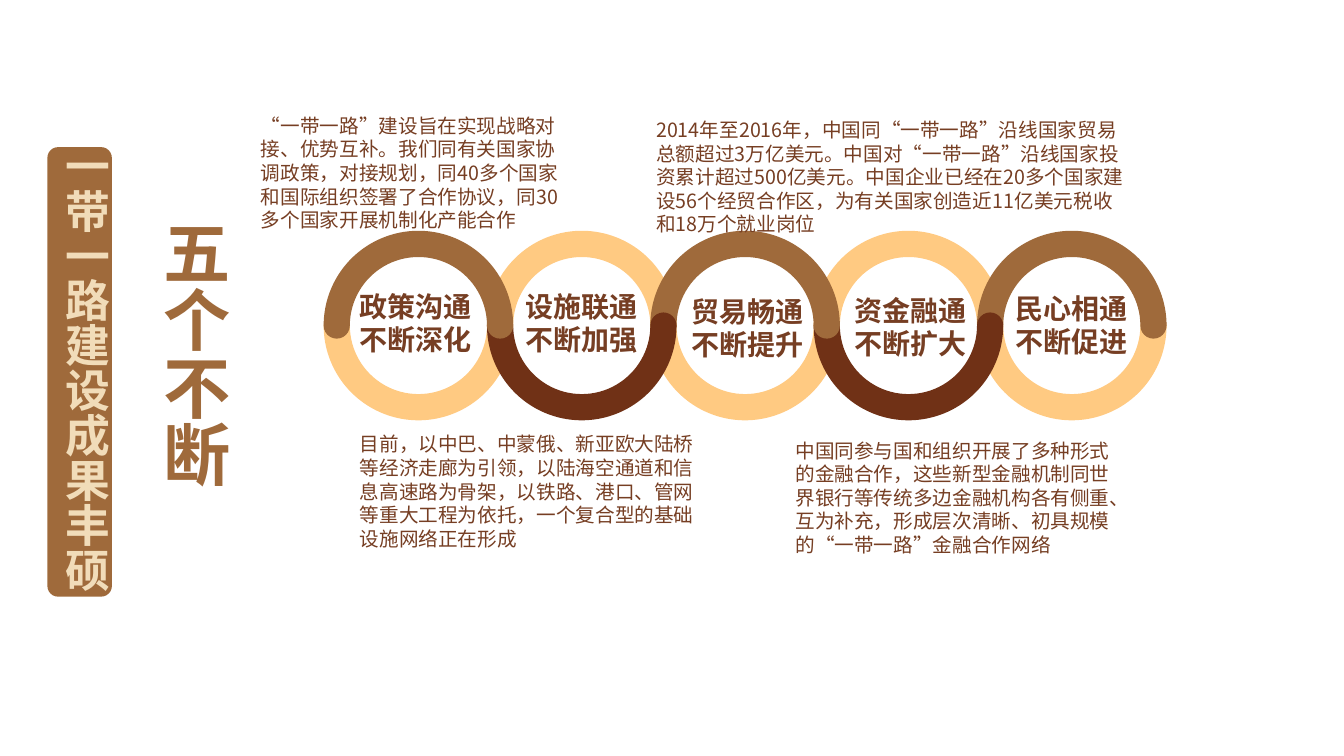
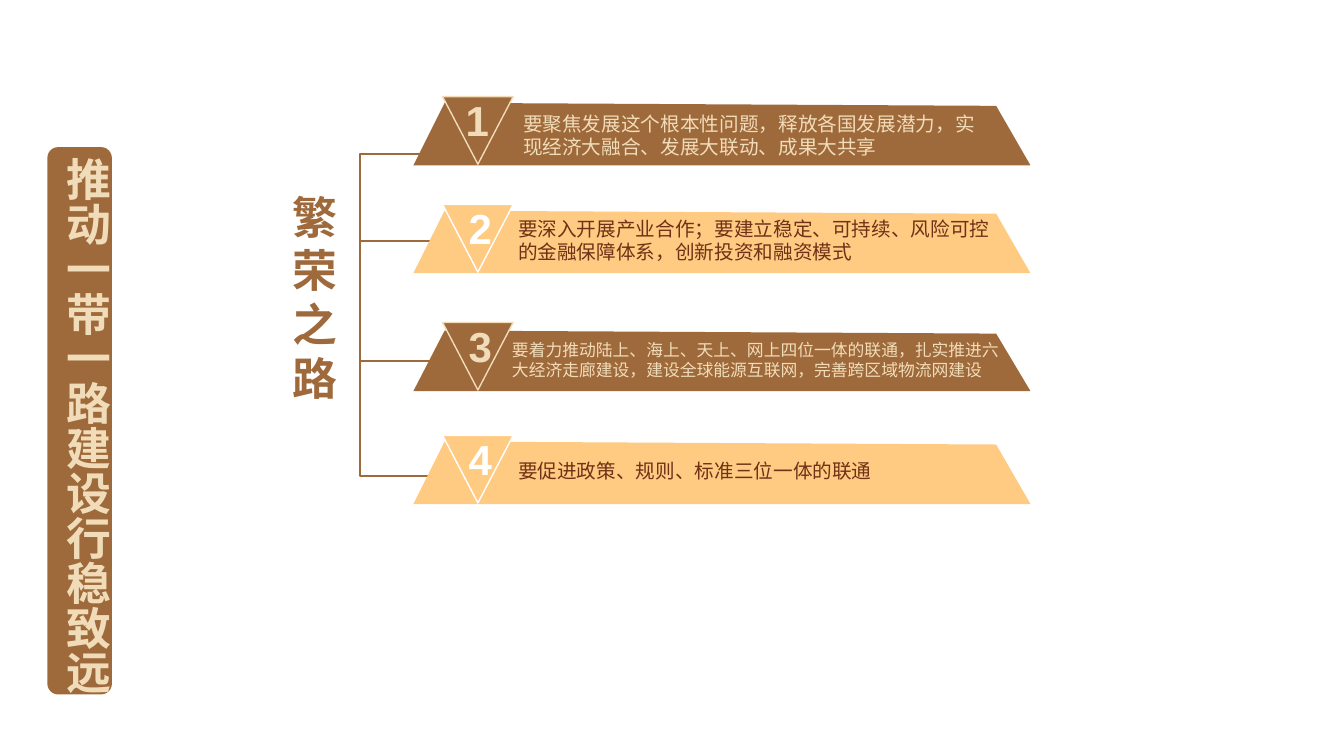
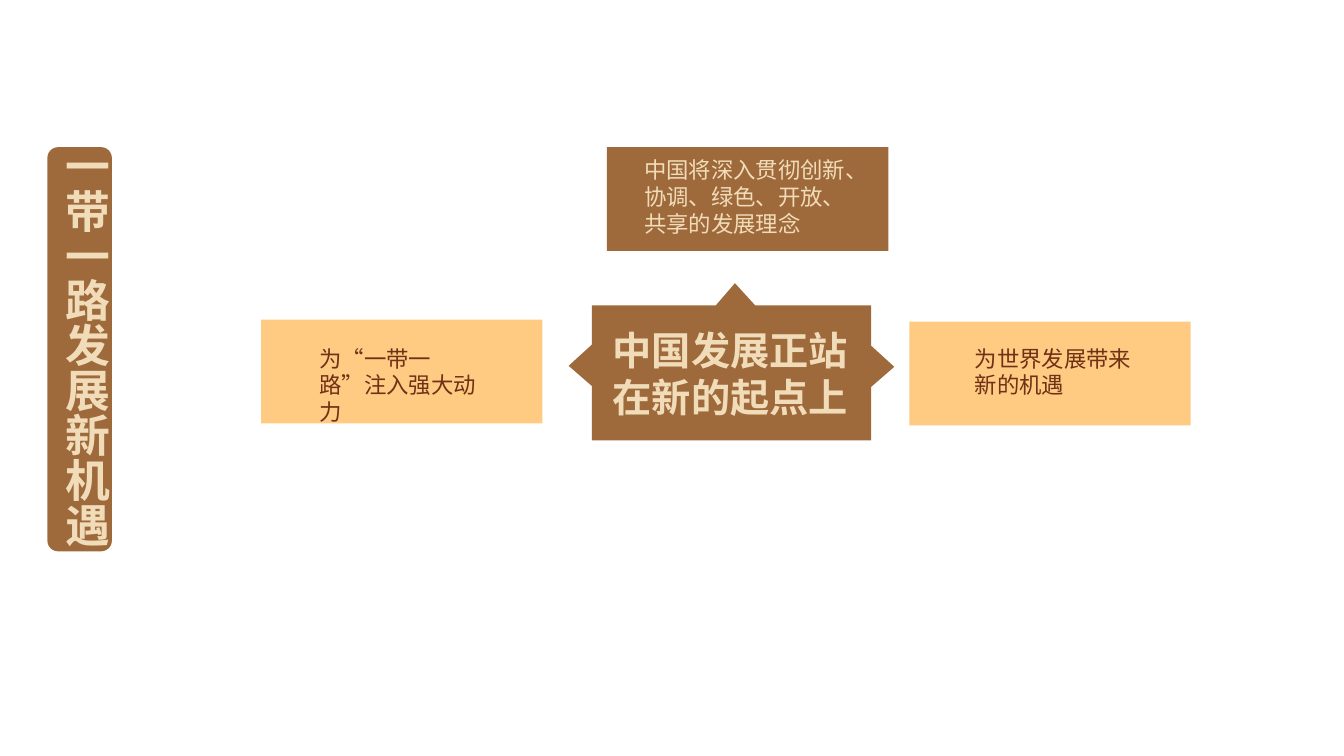
from lxml.etree import SubElement
from pptx import Presentation
from pptx.dml.color import RGBColor
from pptx.enum.shapes import MSO_CONNECTOR as Link, MSO_SHAPE as Kind
from pptx.enum.text import MSO_AUTO_SIZE as Fit, PP_ALIGN as Align
from pptx.oxml.ns import qn
from pptx.util import Inches, Pt

COLORS = {
    "brown": "9F6A3B", "dark": "703116", "text": "763E23",
    "gold": "FFCA82", "cream": "F1DCB9", "white": "FFFFFF",
}
FONT = "Noto Sans CJK SC"

# Slide title: text, band height, text left, top and height
TITLES = [
    ("一带一路建设成果丰硕", 4.46, 0.43, 1.33, 4.59),
    ("推动一带一路建设行稳致远", 5.43, 0.44, 1.46, 5.49),
    ("一带一路发展新机遇", 4.01, 0.43, 1.33, 4.14),
]

# Ring label and its box; the dark halves alternate top and bottom
RINGS = [
    ("政策沟通不断深化", (3.47, 2.82, 1.33, 0.77)),
    ("设施联通不断加强", (5.11, 2.82, 1.51, 0.77)),
    ("贸易畅通不断提升", (6.76, 2.87, 1.34, 0.77)),
    ("资金融通不断扩大", (8.38, 2.86, 1.41, 0.77)),
    ("民心相通不断促进", (9.97, 2.84, 1.51, 0.77)),
]
NOTES = [
    ("“一带一路”建设旨在实现战略对接、优势互补。我们同有关国家协调政策，对接规划，"
     "同40多个国家和国际组织签署了合作协议，同30多个国家开展机制化产能合作",
     (2.49, 1.08, 3.27, 1.28)),
    ("目前，以中巴、中蒙俄、新亚欧大陆桥等经济走廊为引领，以陆海空通道和信息高速路为骨架，"
     "以铁路、港口、管网等重大工程为依托，一个复合型的基础设施网络正在形成",
     (3.47, 4.24, 3.63, 1.28)),
    ("2014年至2016年，中国同“一带一路”沿线国家贸易总额超过3万亿美元。"
     "中国对“一带一路”沿线国家投资累计超过500亿美元。中国企业已经在20多个国家建设"
     "56个经贸合作区，为有关国家创造近11亿美元税收和18万个就业岗位",
     (6.41, 1.12, 4.89, 1.28)),
    ("中国同参与国和组织开展了多种形式的金融合作，这些新型金融机制同世界银行等传统多边金融机构"
     "各有侧重、互为补充，形成层次清晰、初具规模的“一带一路”金融合作网络",
     (7.79, 4.3, 3.51, 1.28)),
]

# Bar text, size, text box, bar top and bottom
BARS = [
    ("要聚焦发展这个根本性问题，释放各国发展潜力，实现经济大融合、发展大联动、成果大共享",
     14, (5.09, 1.06, 4.7, 0.57), 1.02, 1.64),
    ("要深入开展产业合作；要建立稳定、可持续、风险可控的金融保障体系，创新投资和融资模式",
     14, (5.04, 2.1, 4.97, 0.57), 2.09, 2.71),
    ("要着力推动陆上、海上、天上、网上四位一体的联通，扎实推进六大经济走廊建设，"
     "建设全球能源互联网，完善跨区域物流网建设",
     12, (4.98, 3.32, 5.14, 0.5), 3.28, 3.88),
    ("要促进政策、规则、标准三位一体的联通",
     14, (5.04, 4.5, 4.97, 0.34), 4.38, 5),
]
# Bar fill, bar text, badge line and number
STYLES = [("brown", "cream", "cream"), ("gold", "dark", "white")]

HUB = [(7.29, 2.81), (7.49, 3.03), (8.64, 3.03), (8.64, 3.43), (8.87, 3.64),
       (8.64, 3.84), (8.64, 4.37), (5.87, 4.37), (5.87, 3.83), (5.64, 3.63),
       (5.87, 3.42), (5.87, 3.03), (7.1, 3.03)]
# Card text, card corner, text box, fill, text colour
CARDS = [
    ("中国将深入贯彻创新、协调、绿色、开放、共享的发展理念",
     (6.02, 1.46), (6.29, 1.5, 2.25, 0.91), "brown", "cream"),
    ("为世界发展带来新的机遇",
     (9.02, 3.19), (9.57, 3.37, 1.9, 0.64), "gold", "dark"),
    ("为“一带一路”注入强大动力",
     (2.59, 3.17), (3.07, 3.37, 1.89, 0.64), "gold", "dark"),
]


def tint(name):
    return RGBColor.from_string(COLORS[name])


def paint(shape, fill, line=None, width=1):
    shape.shadow.inherit = False
    if fill:
        shape.fill.solid()
        shape.fill.fore_color.rgb = tint(fill)
    else:
        shape.fill.background()
    if line:
        shape.line.color.rgb = tint(line)
        shape.line.width = Pt(width)
    else:
        shape.line.fill.background()
    return shape


def block(slide, kind, box, *style):
    return paint(slide.shapes.add_shape(kind, *map(Inches, box)), *style)


def outline(slide, points, *style, close=True):
    spots = [(Inches(x), Inches(y)) for x, y in points]
    pen = slide.shapes.build_freeform(*spots[0], scale=1.0)
    pen.add_line_segments(spots[1:], close=close)
    return paint(pen.convert_to_shape(), *style)


def write(slide, text, box, size, color, bold=False, font=FONT,
          wrap=True, tall=False, align=None):
    """Add a text box; tall sets the text in an upright column."""
    frame = slide.shapes.add_textbox(*map(Inches, box)).text_frame
    frame.text = text
    frame.word_wrap = wrap
    frame.auto_size = Fit.SHAPE_TO_FIT_TEXT
    if tall:
        frame._txBody.bodyPr.set("vert", "eaVert")
    para = frame.paragraphs[0]
    para.alignment = align
    run = para.runs[0]
    run.font.size, run.font.bold, run.font.name = Pt(size), bold, font
    run.font.color.rgb = tint(color)
    SubElement(run.font._element, qn("a:ea")).set("typeface", font)


def start(deck, title):
    """Add a blank slide with its title band."""
    text, high, left, top, tall = title
    slide = deck.slides.add_slide(deck.slide_layouts[6])
    block(slide, Kind.ROUNDED_RECTANGLE, (0.47, 1.46, 0.64, high), "brown")
    write(slide, text, (left, top, 0.74, tall), 32, "cream", True,
          wrap=False, tall=True)
    return slide


def half(slide, mid, side, fill):
    """Draw a half ring with round ends; side is -1 for the top half."""
    outer, inner, cap, axis = 0.94, 0.68, 0.13, 3.23
    far, near = axis + side * outer, axis - side * cap
    left, right = mid - outer, mid + outer
    shape = outline(slide, [(left, min(far, near)), (right, min(far, near)),
                            (right, max(far, near)), (left, max(far, near))],
                    fill)
    track = shape._element.spPr.find(".//" + qn("a:path"))
    for node in list(track):
        track.remove(node)
    spot = SubElement(SubElement(track, qn("a:moveTo")), qn("a:pt"))
    spot.set("x", str(Inches(2 * outer)))
    spot.set("y", str(Inches(cap if side > 0 else outer)))
    for rad, first, turn in ((outer, 0, 180), (cap, 180, 180),
                             (inner, 180, -180), (cap, 180, 180)):
        arc = SubElement(track, qn("a:arcTo"))
        arc.set("wR", str(Inches(rad)))
        arc.set("hR", str(Inches(rad)))
        arc.set("stAng", str(first * 60000))
        arc.set("swAng", str(side * turn * 60000))
    SubElement(track, qn("a:close"))


def rings(slide):
    mids = [4.15 + 1.62 * i for i in range(len(RINGS))]
    for i, mid in enumerate(mids):
        half(slide, mid, -1 if i % 2 else 1, "gold")
    for i, mid in reversed(list(enumerate(mids))):
        half(slide, mid, 1 if i % 2 else -1, "dark" if i % 2 else "brown")
    for text, box in RINGS:
        write(slide, text, box, 20, "text", True)
    write(slide, "五个不断", (1.37, 2.08, 1.01, 2.79), 48, "brown", True,
          wrap=False, tall=True, align=Align.CENTER)
    for text, box in NOTES:
        write(slide, text, box, 14, "text")


def bars(slide):
    outline(slide, [(4.33, 4.72), (3.57, 4.72), (3.57, 1.53), (4.37, 1.53)],
            None, "brown", 1.5, close=False)
    for y in (2.39, 3.58):
        line = slide.shapes.add_connector(
            Link.STRAIGHT, *map(Inches, (3.57, y, 4.27, y)))
        line.line.color.rgb = tint("brown")
        line.line.width = Pt(1.5)
        SubElement(line._element.spPr, qn("a:effectLst"))
    write(slide, "繁荣之路", (2.8, 1.83, 0.77, 2.26), 32, "brown", True)
    for i, (text, size, box, top, base) in enumerate(BARS):
        fill, ink, edge = STYLES[i % 2]
        outline(slide, [(4.41, top), (9.88, top + 0.03), (10.22, base),
                        (4.1, base)], fill)
        write(slide, text, box, size, ink)
        peak = base - 0.68
        badge = block(slide, Kind.ISOSCELES_TRIANGLE,
                      (4.39, peak, 0.7, 0.67), fill, edge)
        badge._element.spPr.xfrm.set("flipV", "1")
        write(slide, str(i + 1), (4.55 if i else 4.52, peak - 0.07, 0.44, 0.61),
              30, edge, True, "Arial", wrap=False)


def cards(slide):
    outline(slide, HUB, "brown")
    write(slide, "中国发展正站在新的起点上", (5.98, 3.19, 2.83, 1.04),
          28, "cream", True)
    for text, spot, box, fill, ink in CARDS:
        block(slide, Kind.RECTANGLE, (*spot, 2.79, 1.03), fill)
        write(slide, text, box, 16, ink)


def main():
    deck = Presentation()
    deck.slide_width, deck.slide_height = Inches(13.33), Inches(7.5)
    for title, fill in zip(TITLES, (rings, bars, cards)):
        fill(start(deck, title))
    deck.save("out.pptx")


if __name__ == "__main__":
    main()
